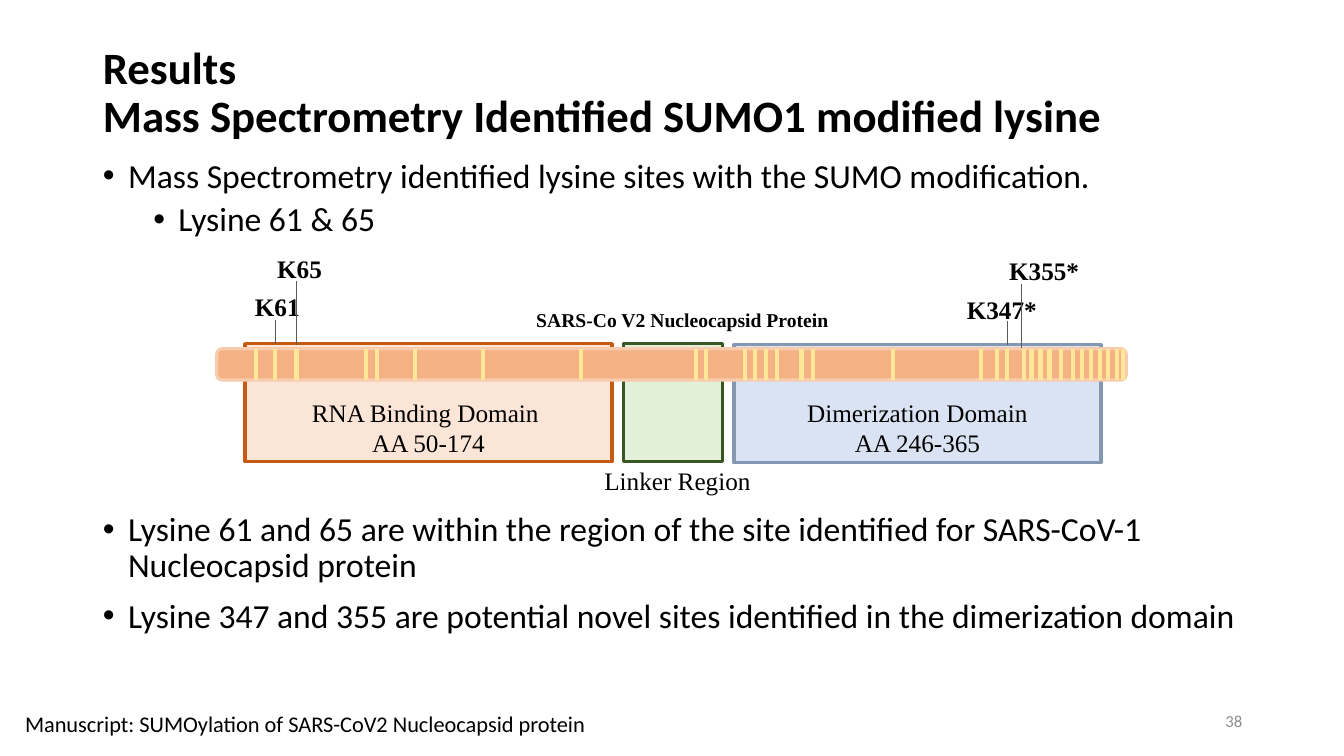
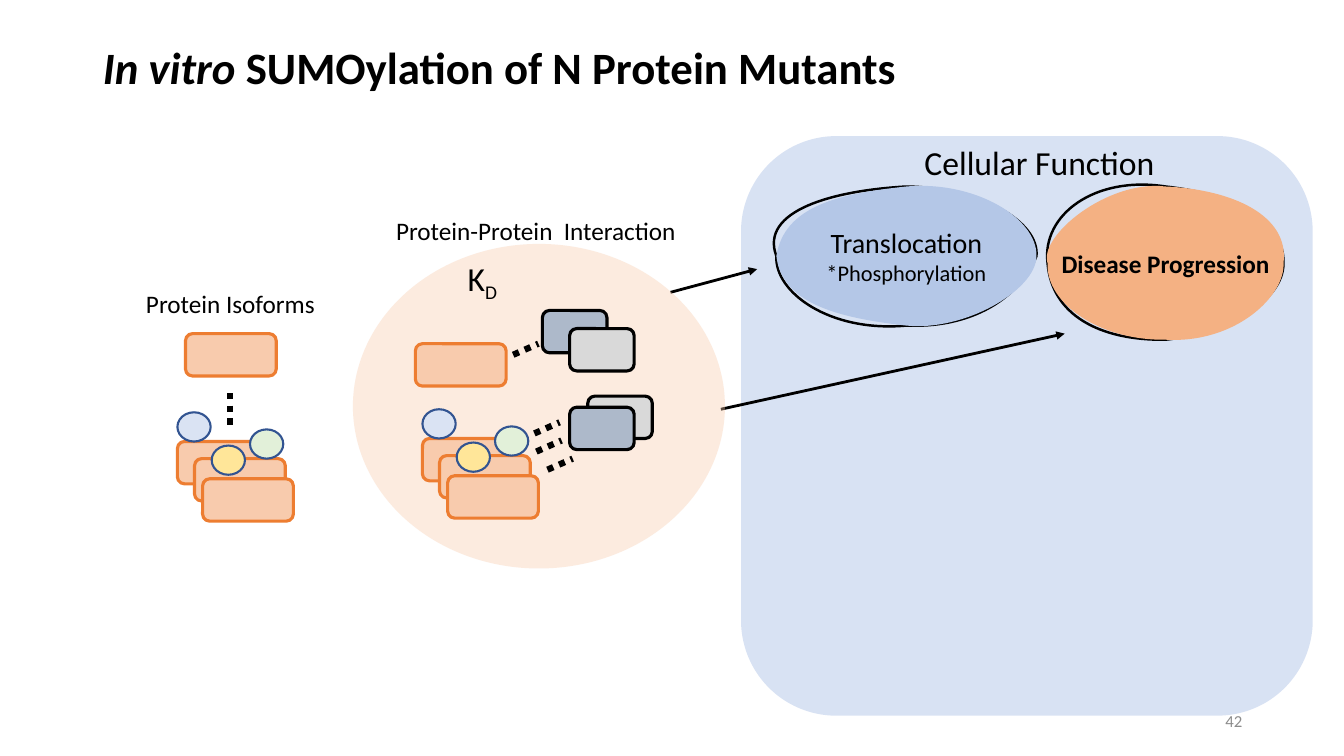
"""Build two slides on SUMOylation of the nucleocapsid protein."""
import dataclasses
import typing

import lxml.etree
import pptx
import pptx.dml.color
import pptx.enum.dml
import pptx.enum.shapes
import pptx.enum.text
import pptx.oxml.ns
import pptx.util

Inches = pptx.util.Inches
Pt = pptx.util.Pt
RGBColor = pptx.dml.color.RGBColor
Shapes = pptx.enum.shapes.MSO_SHAPE
Align = pptx.enum.text.PP_ALIGN
Anchor = pptx.enum.text.MSO_ANCHOR
qn = pptx.oxml.ns.qn

SANS = "Calibri"
SERIF = "Times New Roman"
BLACK = RGBColor(0x00, 0x00, 0x00)
PAGE_GRAY = RGBColor(0x8C, 0x8C, 0x8C)
MARKER_GRAY = RGBColor(0x59, 0x59, 0x59)
LIGHT_GRAY = RGBColor(0xD9, 0xD9, 0xD9)
SLATE = RGBColor(0xAD, 0xB9, 0xCA)
YELLOW = RGBColor(0xFF, 0xE6, 0x99)
PALE_GREEN = RGBColor(0xE2, 0xF0, 0xD9)
DARK_GREEN = RGBColor(0x38, 0x57, 0x23)
PALE_BLUE = RGBColor(0xDA, 0xE3, 0xF3)
SOFT_BLUE = RGBColor(0xB4, 0xC7, 0xE7)
MID_BLUE = RGBColor(0x8F, 0xAA, 0xDC)
STEEL = RGBColor(0x84, 0x97, 0xB0)
NAVY = RGBColor(0x32, 0x54, 0x91)
PALE_ORANGE = RGBColor(0xFB, 0xE5, 0xD6)
PEACH = RGBColor(0xF8, 0xCB, 0xAD)
ORANGE = RGBColor(0xF4, 0xB1, 0x83)
VIVID_ORANGE = RGBColor(0xED, 0x7D, 0x31)
RUST = RGBColor(0xC5, 0x5A, 0x11)

Point = tuple[float, float]
Box = tuple[float, float, float, float]


@dataclasses.dataclass(frozen=True)
class Span:
    """A run of text with its character format."""
    text: str
    size: float = 18
    font: str = SANS
    bold: bool = False
    italic: bool = False
    color: RGBColor = BLACK
    baseline: int = 0


@dataclasses.dataclass(frozen=True)
class Bullet:
    """A list item with its level and spacing."""
    text: str
    level: int
    before: float


@dataclasses.dataclass(frozen=True)
class Domain:
    """A protein domain and its caption."""
    box: Box
    fill: RGBColor
    edge: RGBColor
    caption: Box
    lines: tuple[str, ...]


@dataclasses.dataclass(frozen=True)
class Site:
    """A labelled lysine and its marker line."""
    label: str
    left: float
    top: float
    x: float
    start: float
    end: float


@dataclasses.dataclass(frozen=True)
class Blob:
    """A hand-drawn oval: bezier outline, bezier fill and text."""
    outline: tuple[Point, ...]
    inside: tuple[Point, ...]
    fill: RGBColor
    lines: tuple[Span, ...]


DOMAINS = (
    Domain((6.18, 3.41, 0.99, 1.17), PALE_GREEN, DARK_GREEN,
           (5.22, 4.57, 3, 0.4), ("Linker Region",)),
    Domain((7.28, 3.42, 3.64, 1.17), PALE_BLUE, STEEL,
           (7.6, 3.89, 3, 0.71), ("Dimerization Domain", "AA 246-365")),
    Domain((2.43, 3.41, 3.64, 1.17), PALE_ORANGE, RUST,
           (2.75, 3.89, 3, 0.71), ("RNA Binding Domain ", "AA 50-174")),
)
SITES = (
    Site("K61", 2.43, 2.84, 2.73, 3.17, 3.41),
    Site("K65", 2.65, 2.46, 2.94, 2.79, 3.42),
    Site("K347*", 9.49, 2.87, 9.99, 3.18, 3.42),
    Site("K355*", 9.91, 2.48, 10.13, 2.82, 3.45),
)
LYSINES = (2.54, 2.73, 2.94, 3.63, 3.74, 4.12, 4.79, 5.76, 6.9, 7, 7.39, 7.49, 7.6, 7.71,
           7.95, 8.06, 8.86, 9.73, 9.89, 9.99, 10.16, 10.23, 10.32, 10.41, 10.52, 10.64,
           10.73, 10.82, 10.91, 10.99, 11.08, 11.14)
BULLETS = (
    Bullet("Mass Spectrometry identified lysine sites with the SUMO modification.", 0, 0),
    Bullet("Lysine 61 & 65", 1, 5),
    Bullet("Lysine 61 and 65 are within the region of the site identified for SARS-CoV-1 "
           "Nucleocapsid protein", 0, 195.5),
    Bullet("Lysine 347 and 355 are potential novel sites identified in the dimerization domain",
           0, 10),
)
BLOBS = (
    Blob(((7.7, 2.54), (7.53, 2.09), (8.26, 1.89), (8.99, 1.85), (9.71, 1.86), (10.31, 2.19),
          (10.28, 2.54), (10.15, 2.88), (9.73, 3.26), (8.99, 3.23), (8.23, 3.3), (7.68, 2.9),
          (7.7, 2.54)),
         ((7.7, 2.54), (7.78, 2.04), (8.33, 1.92), (8.99, 1.85), (9.68, 1.79), (10.29, 2.17),
          (10.28, 2.54), (10.28, 2.88), (9.56, 3.29), (8.99, 3.23), (8.26, 3.15), (7.75, 2.99),
          (7.7, 2.54)),
         SOFT_BLUE, (Span("Translocation", 20), Span("*Phosphorylation", 16))),
    Blob(((10.39, 2.61), (10.33, 2.13), (10.86, 1.74), (11.56, 1.85), (12.27, 1.93),
          (12.74, 2.2), (12.73, 2.61), (12.73, 3), (12.14, 3.31), (11.56, 3.37), (10.9, 3.38),
          (10.43, 3.12), (10.39, 2.61)),
         ((10.39, 2.61), (10.3, 2.34), (10.99, 1.78), (11.56, 1.85), (12.23, 1.88),
          (12.79, 2.14), (12.73, 2.61), (12.75, 2.93), (12.26, 3.41), (11.56, 3.37),
          (10.91, 3.38), (10.37, 3.01), (10.39, 2.61)),
         ORANGE, (Span("Disease Progression", bold=True),)),
)
PARTNERS = (((5.83, 3.93), LIGHT_GRAY), ((5.38, 3.08), SLATE),
            ((5.65, 4.04), SLATE), ((5.65, 3.26), LIGHT_GRAY))
BONDS = ((5.09, 3.52), (5.32, 4.48), (5.43, 4.66), (5.3, 4.3))


def add_span(paragraph: typing.Any, span: Span) -> None:
    """Append one formatted run."""
    run = paragraph.add_run()
    run.text = span.text
    run.font.size, run.font.name = Pt(span.size), span.font
    run.font.bold, run.font.italic = span.bold, span.italic
    run.font.color.rgb = span.color
    if span.baseline:
        run._r.get_or_add_rPr().set("baseline", str(span.baseline * 1000))


def write(frame: typing.Any, lines: typing.Sequence[typing.Sequence[Span]],
          align: typing.Any = Align.LEFT) -> None:
    """Write one paragraph for each line of spans."""
    frame.word_wrap = True
    for index, spans in enumerate(lines):
        paragraph = frame.add_paragraph() if index else frame.paragraphs[0]
        paragraph.alignment = align
        for span in spans:
            add_span(paragraph, span)


def add_label(shapes: typing.Any, box: Box, *lines: typing.Sequence[Span],
              align: typing.Any = Align.LEFT, anchor: typing.Any = Anchor.TOP) -> None:
    """Add a text box with one paragraph for each line."""
    frame = shapes.add_textbox(*map(Inches, box)).text_frame
    frame.vertical_anchor = anchor
    write(frame, lines, align)


def paint(shape: typing.Any, fill: RGBColor, edge: RGBColor | None = None,
          width: float = 2.25, alpha: int = 100) -> None:
    """Set fill, outline and opacity, without shadow."""
    shape.shadow.inherit = False
    shape.fill.solid()
    shape.fill.fore_color.rgb = fill
    if alpha < 100:
        tint = shape._element.spPr.find(qn("a:solidFill"))[0]
        lxml.etree.SubElement(tint, qn("a:alpha")).set("val", str(alpha * 1000))
    if edge is None:
        shape.line.fill.background()
    else:
        shape.line.color.rgb = edge
        shape.line.width = Pt(width)


def add_block(shapes: typing.Any, kind: typing.Any, box: Box, fill: RGBColor,
              edge: RGBColor | None = None, width: float = 2.25, alpha: int = 100) -> None:
    """Add a painted preset shape."""
    paint(shapes.add_shape(kind, *map(Inches, box)), fill, edge, width, alpha)


def add_line(shapes: typing.Any, start: Point, end: Point, color: RGBColor, width: float,
             dotted: bool = False, arrow: bool = False) -> None:
    """Add a straight line, optionally dotted or with an arrowhead."""
    line = shapes.add_connector(pptx.enum.shapes.MSO_CONNECTOR.STRAIGHT,
                                *map(Inches, (*start, *end)))
    line.line.color.rgb = color
    line.line.width = Pt(width)
    if dotted:
        line.line.dash_style = pptx.enum.dml.MSO_LINE.ROUND_DOT
    properties = line._element.spPr
    if arrow:
        lxml.etree.SubElement(properties.find(qn("a:ln")), qn("a:tailEnd")).set("type", "triangle")
    lxml.etree.SubElement(properties, qn("a:effectLst"))


def add_blob(shapes: typing.Any, blob: Blob) -> None:
    """Add an oval whose bezier outline and fill differ slightly."""
    corners = [tuple(map(Inches, point)) for point in blob.outline[::3]]
    builder = shapes.build_freeform(*corners[0], scale=1.0)
    builder.add_line_segments(corners[1:], close=True)
    oval = builder.convert_to_shape()
    tracks = oval._element.spPr.find(qn("a:custGeom")).find(qn("a:pathLst"))
    tracks.remove(tracks[0])
    for points, flag, value in ((blob.outline, "fill", "none"), (blob.inside, "stroke", "0")):
        track = lxml.etree.SubElement(tracks, qn("a:path"))
        track.set("w", str(oval.width))
        track.set("h", str(oval.height))
        track.set(flag, value)
        segments = [("a:moveTo", points[:1])]
        segments += [("a:cubicBezTo", points[i:i + 3]) for i in range(1, len(points), 3)]
        for tag, stops in segments:
            segment = lxml.etree.SubElement(track, qn(tag))
            for x, y in stops:
                stop = lxml.etree.SubElement(segment, qn("a:pt"))
                stop.set("x", str(Inches(x) - oval.left))
                stop.set("y", str(Inches(y) - oval.top))
        lxml.etree.SubElement(track, qn("a:close"))
    paint(oval, blob.fill, BLACK, 1.75)
    oval.text_frame.vertical_anchor = Anchor.MIDDLE
    write(oval.text_frame, [[span] for span in blob.lines], Align.CENTER)


def place(holder: typing.Any, box: Box) -> typing.Any:
    """Move a placeholder and return its top-anchored text frame."""
    holder.left, holder.top, holder.width, holder.height = map(Inches, box)
    frame = holder.text_frame
    frame.auto_size = pptx.enum.text.MSO_AUTO_SIZE.NONE
    frame.vertical_anchor = Anchor.TOP
    return frame


def start_slide(deck: typing.Any, layout: int, page: int,
                title: typing.Sequence[typing.Sequence[Span]]) -> typing.Any:
    """Add a slide with its title and page number."""
    slide = deck.slides.add_slide(deck.slide_layouts[layout])
    frame = place(slide.shapes.title, (0.92, 0.4, 11.5, 1.45))
    write(frame, title[:1])
    heading = frame.paragraphs[0]
    heading.line_spacing = 0.9
    for spans in title[1:]:
        heading.add_line_break()
        for span in spans:
            add_span(heading, span)
    add_label(slide.shapes, (9.42, 6.95, 3, 0.4), [Span(str(page), 12, color=PAGE_GRAY)],
              align=Align.RIGHT, anchor=Anchor.MIDDLE)
    return slide


def fill_bullets(frame: typing.Any) -> None:
    """Write the findings as a bulleted list."""
    write(frame, [[Span(bullet.text, 24)] for bullet in BULLETS])
    for paragraph, bullet in zip(frame.paragraphs, BULLETS):
        paragraph.level = bullet.level
        properties = paragraph._p.get_or_add_pPr()
        properties.set("marL", str(Inches(0.25 + 0.5 * bullet.level)))
        properties.set("indent", str(Inches(-0.25)))
        lxml.etree.SubElement(properties, qn("a:buChar")).set("char", "•")
        paragraph.line_spacing = 0.9
        paragraph.space_before = Pt(bullet.before)


def build_results(deck: typing.Any) -> None:
    """Build the slide with the modified lysines."""
    title = [[Span(text, 32, bold=True)] for text in
             ("Results", "Mass Spectrometry Identified SUMO1 modified lysine")]
    slide = start_slide(deck, 1, 38, title)
    shapes = slide.shapes
    fill_bullets(place(slide.placeholders[1], (0.92, 1.53, 11.5, 4.76)))
    for domain in DOMAINS:
        add_block(shapes, Shapes.RECTANGLE, domain.box, domain.fill, domain.edge)
        add_label(shapes, domain.caption, *([Span(text, font=SERIF)] for text in domain.lines),
                  align=Align.CENTER)
    add_block(shapes, Shapes.ROUNDED_RECTANGLE, (2.15, 3.46, 9.02, 0.31), ORANGE, PEACH)
    for x in LYSINES:
        add_line(shapes, (x, 3.46), (x, 3.77), YELLOW, 3)
    for site in SITES:
        add_label(shapes, (site.left, site.top, 0.92, 0.4), [Span(site.label, 18, SERIF, True)])
        add_line(shapes, (site.x, site.start), (site.x, site.end), MARKER_GRAY, 1)
    add_label(shapes, (5.22, 3.01, 3.64, 0.34),
              [Span("SARS-Co V2 Nucleocapsid Protein", 14, SERIF, True)])
    add_label(shapes, (0.15, 7, 6.67, 0.37),
              [Span("Manuscript: SUMOylation of SARS-CoV2 Nucleocapsid protein", 16)])


def add_isoforms(shapes: typing.Any, single: Point, stack: Point) -> None:
    """Draw a plain isoform and a stack of modified ones."""
    x, y = stack
    for left, top in (single, (x, y + 0.29), (x + 0.17, y + 0.46), (x + 0.25, y + 0.66)):
        add_block(shapes, Shapes.ROUNDED_RECTANGLE, (left, top, 0.9, 0.42), PEACH, VIVID_ORANGE)
    for dx, dy, fill in ((0, 0, PALE_BLUE), (0.72, 0.17, PALE_GREEN), (0.34, 0.33, YELLOW)):
        add_block(shapes, Shapes.OVAL, (x + dx, y + dy, 0.33, 0.29), fill, NAVY, 1.5)


def build_mutants(deck: typing.Any) -> None:
    """Build the slide with the mutant interaction model."""
    slide = start_slide(deck, 5, 42, [[Span("In vitro ", 32, bold=True, italic=True),
                                       Span("SUMOylation of N Protein Mutants", 32, bold=True)]])
    shapes = slide.shapes
    add_block(shapes, Shapes.ROUNDED_RECTANGLE, (7.35, 1.35, 5.67, 5.75), MID_BLUE, alpha=34)
    isoforms = shapes.add_group_shape().shapes
    add_isoforms(isoforms, (1.84, 3.31), (1.76, 4.09))
    add_line(isoforms, (2.28, 3.9), (2.28, 4.24), BLACK, 4.5, dotted=True)
    for start, end in (((6.65, 2.9), (7.51, 2.67)), ((7.15, 4.06), (10.56, 3.31))):
        add_line(shapes, start, end, BLACK, 2, arrow=True)
    for blob in BLOBS:
        add_blob(shapes, blob)
    add_label(shapes, (1.35, 2.81, 1.96, 0.4), [Span("Protein Isoforms")])
    add_label(shapes, (3.83, 2.09, 3.29, 0.4), [Span("Protein-Protein  Interaction")])
    add_label(shapes, (9.07, 1.36, 2.58, 0.5), [Span("Cellular Function", 24)])
    complexes = shapes.add_group_shape().shapes
    add_block(complexes, Shapes.OVAL, (3.5, 2.42, 3.69, 3.22), PEACH, alpha=38)
    add_isoforms(complexes, (4.12, 3.41), (4.19, 4.06))
    for corner, fill in PARTNERS:
        add_block(complexes, Shapes.ROUNDED_RECTANGLE, (*corner, 0.64, 0.42), fill, BLACK)
    for x, y in BONDS:
        add_line(complexes, (x, y), (x + 0.25, y - 0.11), BLACK, 4.5, dotted=True)
    add_label(complexes, (4.54, 2.51, 1.91, 0.5), [Span("K", 24), Span("D", 24, baseline=-25)])


def main() -> None:
    """Create and save the deck."""
    deck = pptx.Presentation()
    deck.slide_width, deck.slide_height = Inches(13.33), Inches(7.5)
    build_results(deck)
    build_mutants(deck)
    deck.save("out.pptx")


if __name__ == "__main__":
    main()
